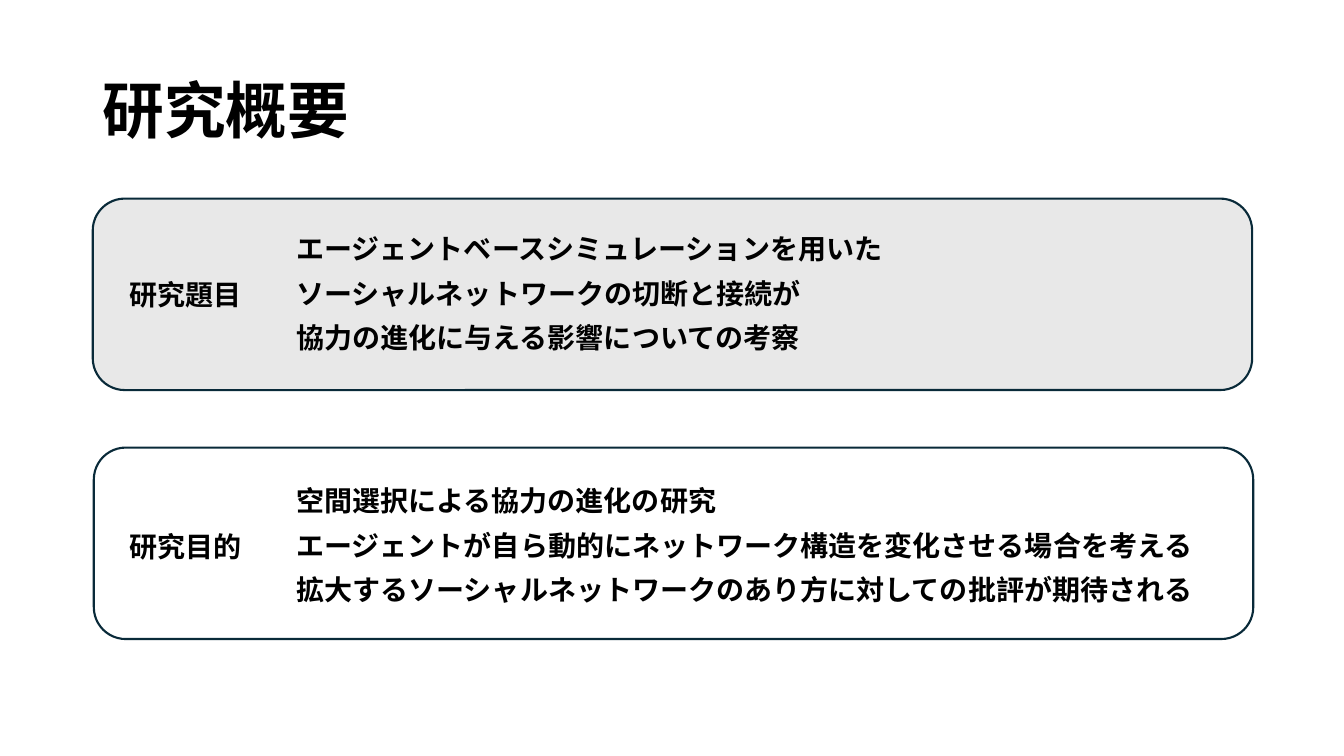
from lxml import etree
from pptx import Presentation
from pptx.dml.color import RGBColor
from pptx.enum.shapes import MSO_SHAPE
from pptx.enum.text import MSO_ANCHOR, PP_ALIGN
from pptx.oxml.ns import qn
from pptx.util import Inches, Pt

RECT = MSO_SHAPE.RECTANGLE
ROUND = MSO_SHAPE.ROUNDED_RECTANGLE
TOP = MSO_ANCHOR.TOP
MIDDLE = MSO_ANCHOR.MIDDLE
LEFT = PP_ALIGN.LEFT
CENTER = PP_ALIGN.CENTER

WIDTH, HEIGHT = Inches(13.33), Inches(7.5)
FONT = "Noto Sans CJK JP"
BLACK, WHITE, GRAY, NAVY = "000000", "FFFFFF", "E8E8E8", "092A39"

PANELS = [
    (6.9, 26.27, 30.53, 63.84, GRAY, "研究題目", [
        "エージェントベースシミュレーションを用いた",
        "ソーシャルネットワークの切断と接続が",
        "協力の進化に与える影響についての考察",
    ]),
    (6.98, 59.2, 63.87, 70.67, WHITE, "研究目的", [
        "空間選択による協力の進化の研究",
        "エージェントが自ら動的にネットワーク構造を変化させる場合を考える",
        "拡大するソーシャルネットワークのあり方に対しての批評が期待される",
    ]),
]


def color(code):
    return RGBColor.from_string(code)


def place(left, top, width, height):
    return (int(WIDTH * left / 100), int(HEIGHT * top / 100),
            int(WIDTH * width / 100), int(HEIGHT * height / 100))


def write(frame, lines, size=20, align=LEFT, anchor=TOP, spacing=0.9, before=0):
    frame.word_wrap = True
    frame.vertical_anchor = anchor
    for i, line in enumerate(lines):
        para = frame.paragraphs[0] if i == 0 else frame.add_paragraph()
        para.text = line
        para.alignment = align
        para.line_spacing = spacing
        para.space_before = Pt(before)
        font = para.font
        font.name = FONT
        font.size = Pt(size)
        font.bold = True
        font.color.rgb = color(BLACK)
        etree.SubElement(font._element, qn("a:ea"), typeface=FONT)


def add_box(slide, kind, area, fill, line=None):
    box = slide.shapes.add_shape(kind, *place(*area))
    box.shadow.inherit = False
    box.fill.solid()
    box.fill.fore_color.rgb = color(fill)
    if line:
        box.line.color.rgb = color(line)
        box.line.width = Pt(1.5)
    else:
        box.line.fill.background()
    return box


def add_text(slide, area, lines, **style):
    box = slide.shapes.add_textbox(*place(*area))
    write(box.text_frame, lines, **style)


def add_panel(slide, left, top, start, width, fill, label, lines):
    add_box(slide, ROUND, (left, top, 86.27, 25.33), fill, NAVY)
    add_text(slide, (21.3, start, width, 20.67), lines, before=10)
    tag = add_box(slide, RECT, (7.5, start + 5.47, 12.6, 5.87), fill)
    write(tag.text_frame, [label], align=CENTER, anchor=MIDDLE, spacing=1.0)


def main():
    deck = Presentation()
    deck.slide_width, deck.slide_height = WIDTH, HEIGHT
    slide = deck.slides.add_slide(deck.slide_layouts[6])
    add_text(slide, (6.9, 5.33, 86.27, 19.33), ["研究概要"], size=44, anchor=MIDDLE)
    for panel in PANELS:
        add_panel(slide, *panel)
    deck.save("out.pptx")


if __name__ == "__main__":
    main()
